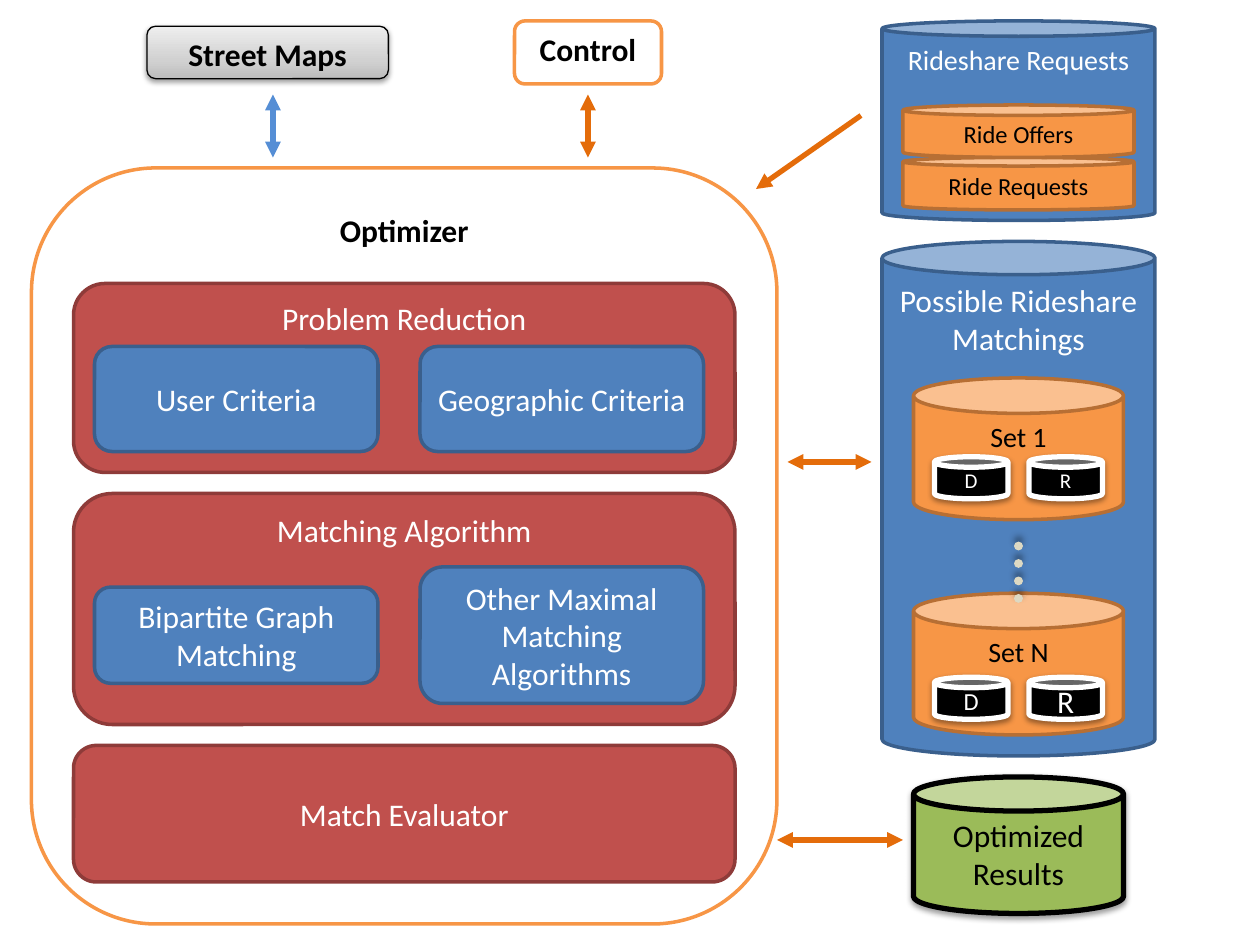
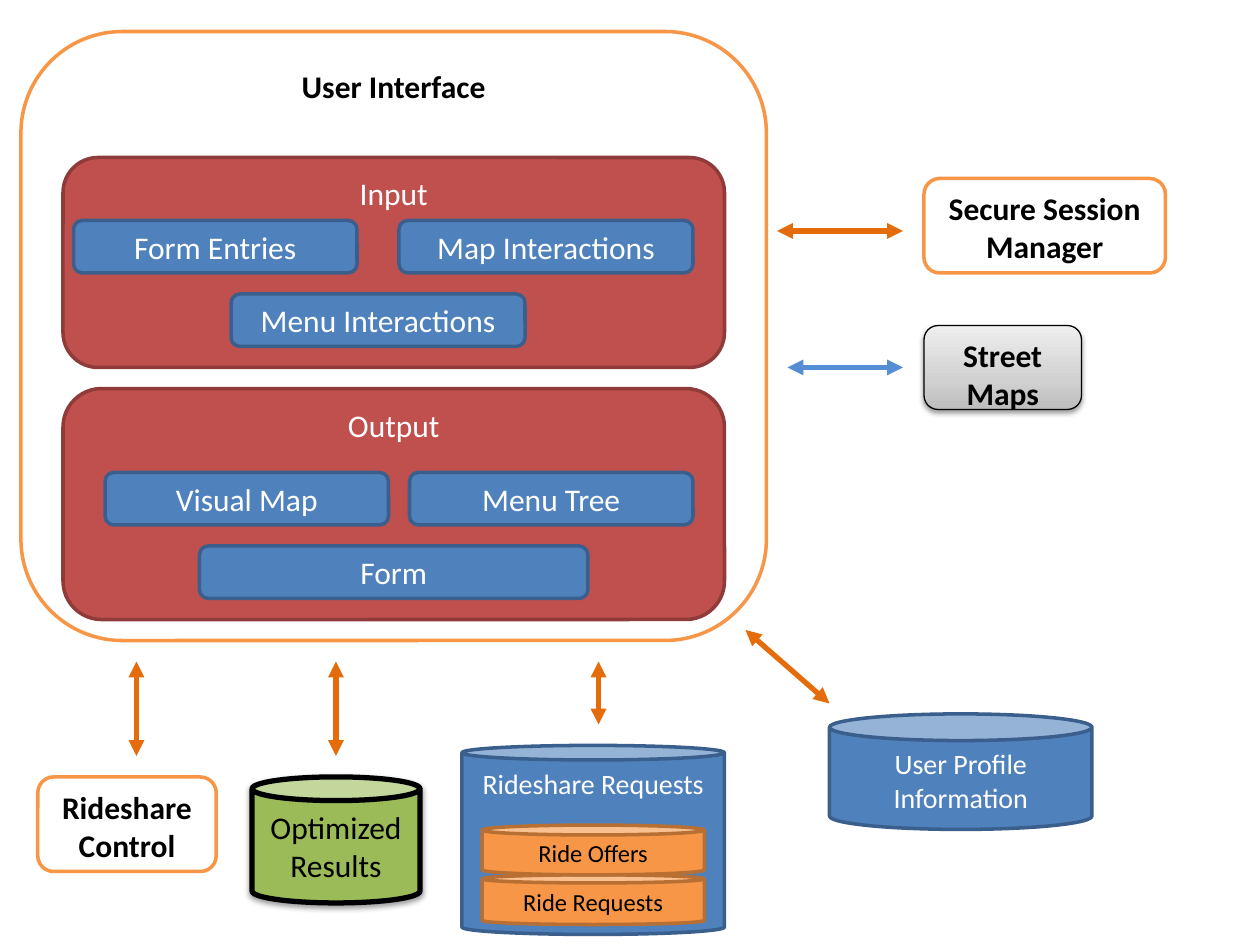
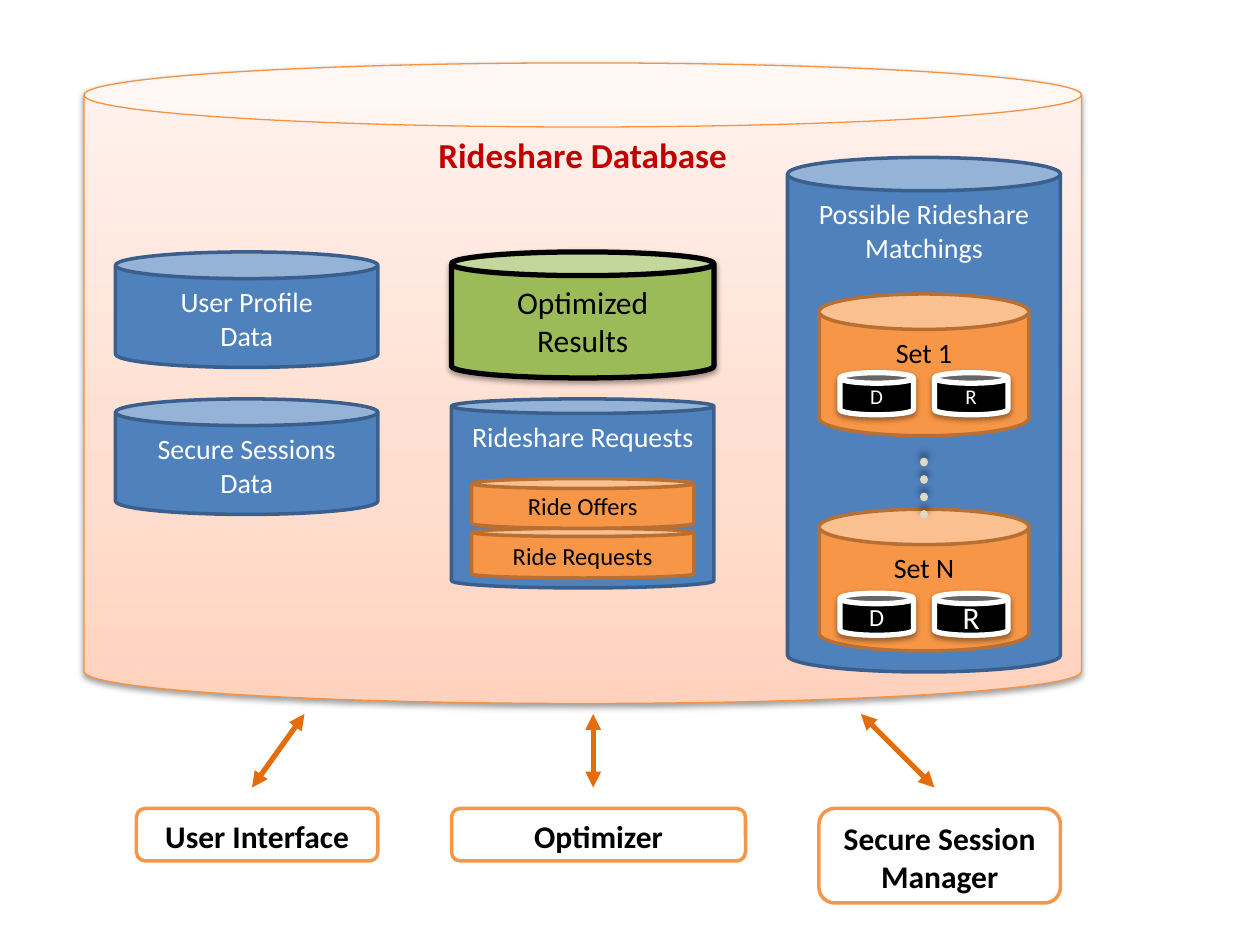
from copy import deepcopy

from lxml import etree
from pptx import Presentation
from pptx.dml.color import RGBColor
from pptx.enum.dml import MSO_LINE
from pptx.enum.shapes import MSO_CONNECTOR, MSO_SHAPE
from pptx.enum.text import MSO_ANCHOR, PP_ALIGN
from pptx.oxml.ns import qn
from pptx.util import Pt

ROUND, CAN = MSO_SHAPE.ROUNDED_RECTANGLE, MSO_SHAPE.CAN
TOP, MID, CENTER = MSO_ANCHOR.TOP, MSO_ANCHOR.MIDDLE, PP_ALIGN.CENTER
LINE, DOTS = MSO_CONNECTOR.STRAIGHT, MSO_LINE.ROUND_DOT

# Theme: colours, type sizes and effects
THEME = {
    "font": "Calibri",
    "size": {"title": 20, "body": 18, "store": 16, "small": 14, "tiny": 12},
    "color": {
        "white": "FFFFFF", "black": "000000", "blue": "4F81BD", "navy": "3A5F8C",
        "red": "C0504D", "wine": "8E3B39", "orange": "F79646", "rust": "B76F34",
        "green": "9BBB59", "rim": "F69240", "crimson": "C00000",
        "flow": "E46C0A", "map": "558ED5", "dots": "DDD9C3",
    },
    "grad": {
        "gray": [(0, "BDBDBD"), (0.35, "D1D1D1"), (1, "EEEEEE")],
        "peach": [(0, "FFD2BD"), (0.35, "FFDED0"), (1, "FFF2ED")],
    },
    # opacity %, blur, distance, angle
    "shadow": {"soft": (38, 3.15, 1.57, 90), "up": (40, 4, 3, 270)},
}

BASE = {"form": ROUND, "fill": "blue", "line": "navy", "weight": 2, "size": "body",
        "ink": "white", "bold": False, "anchor": MID, "adj": None, "shadow": None}
FRAME = BASE | {"fill": "white", "line": "orange", "ink": "black",
                "bold": True, "anchor": TOP}
STEP = BASE | {"fill": "red", "line": "wine"}
STORE = BASE | {"form": CAN, "size": "store", "anchor": TOP, "adj": 0.231}
ITEM = STORE | {"fill": "orange", "line": "rust", "ink": "black"}
GOAL = STORE | {"fill": "green", "line": "black", "weight": 3, "size": "body",
                "ink": "black", "anchor": MID, "adj": 0.188, "shadow": "soft"}
JAR = GOAL | {"fill": "black", "line": "white", "ink": "white", "adj": 0.25}
KINDS = {
    "frame": FRAME,
    "maps": FRAME | {"fill": "gray", "line": "black", "weight": 0.75, "shadow": "soft"},
    "panel": STEP | {"anchor": TOP},
    "step": STEP,
    "part": BASE,
    "store": STORE,
    "rides": STORE | {"adj": 0.077},
    "offer": ITEM | {"size": "small", "anchor": MID, "adj": 0.199},
    "ask": ITEM | {"size": "small", "anchor": MID, "adj": 0.164},
    "match": STORE | {"adj": 0.122},
    "large": STORE | {"adj": 0.122, "size": "body"},
    "set": ITEM | {"adj": 0.25},
    "tiny": JAR | {"size": "tiny"},
    "small": JAR | {"size": "small"},
    "jar": JAR,
    "goal": GOAL,
    "tall": GOAL | {"adj": 0.25},
    "base": STORE | {"fill": "peach", "line": "rim", "weight": 0.75, "size": "title",
                     "ink": "crimson", "bold": True, "adj": 0.1, "shadow": "soft"},
}

# Boxes: kind, text, left, top, width, height
# Arrows: colour, x1, y1, x2, y2, ends
SLIDES = [
    {
        "boxes": [
            ("tall", "Optimized\nResults", 522, 444, 120, 78),
            ("frame", "Control", 294, 12, 84, 36),
            ("maps", "Street Maps", 84, 15, 138, 30),
        ],
        "group": [
            ("frame", "Optimizer", 18, 96, 426, 432),
            ("panel", "Problem Reduction", 42, 162, 378, 108),
            ("part", "User Criteria", 54, 198, 162, 60),
            ("part", "Geographic Criteria", 240, 198, 162, 60),
            ("panel", "Matching Algorithm", 42, 282, 378, 132),
            ("part", "Bipartite Graph Matching", 54, 335.5, 162, 55),
            ("part", "Other Maximal Matching Algorithms", 240, 324, 162, 78),
            ("step", "Match Evaluator", 42, 426, 378, 78),
        ],
        "rides": (504, 12, 156, 114),
        "match": ("large", 504, 138),
        "arrows": [
            ("map", 156, 54, 156, 90, "both"),
            ("flow", 336, 54, 336, 90, "both"),
            ("flow", 492, 66, 432, 108, "tail"),
            ("flow", 498, 264, 450, 264, "both"),
            ("flow", 516, 480, 444, 480, "both"),
        ],
    },
    {
        "boxes": [
            ("frame", "User Interface", 12, 18, 426, 348),
            ("panel", "Input", 36, 90, 378, 120),
            ("part", "Form Entries", 42, 126, 162, 30),
            ("part", "Map Interactions", 228, 126, 168, 30),
            ("part", "Menu Interactions", 132, 168, 168, 30),
            ("panel", "Output", 36, 222, 378, 132),
            ("part", "Visual Map", 60, 270, 162, 30),
            ("part", "Menu Tree", 234, 270, 162, 30),
            ("part", "Form", 114, 312, 222, 30),
            ("goal", "Optimized\nResults", 144, 444, 96, 72),
            ("frame", "Rideshare\nControl", 21.6, 444, 102, 54),
            ("maps", "Street Maps", 528, 186, 90, 48),
            ("store", "User Profile Information", 474, 408, 150, 66),
            ("frame", "Secure Session Manager", 528, 102, 138, 54),
        ],
        "rides": (264, 426, 150, 108),
        "arrows": [
            ("map", 516, 210, 450, 210, "both"),
            ("flow", 516, 132, 444, 132, "both"),
            ("flow", 78, 432, 78, 378, "both"),
            ("flow", 192, 432, 192, 378, "both"),
            ("flow", 342, 414, 342, 378, "both"),
            ("flow", 474, 402, 426, 360, "both"),
        ],
    },
    {
        "boxes": [
            ("base", "Rideshare Database", 48, 36, 570, 366),
            ("goal", "Optimized\nResults", 258, 144, 150, 72),
            ("store", "User Profile\nData", 66, 144, 150, 66),
            ("store", "Secure Sessions\nData", 66, 228, 150, 66),
            ("frame", "User Interface", 78, 462, 138, 30),
            ("frame", "Optimizer", 258, 462, 168, 30),
            ("frame", "Secure Session Manager", 468, 462, 138, 54),
        ],
        "rides": (258, 228, 150, 108),
        "match": ("match", 450, 90),
        "arrows": [
            ("flow", 144, 450, 174, 408, "both"),
            ("flow", 339, 450, 339, 408, "both"),
            ("flow", 534, 450, 492, 408, "both"),
        ],
    },
]
SETS = [("Set 1", "tiny", "tiny"), ("Set N", "small", "jar")]


def rgb(name):
    """Return a theme colour."""
    return RGBColor.from_string(THEME["color"][name])


def apply(target, values):
    """Set attributes from a dict."""
    for name, value in values.items():
        setattr(target, name, value)


def blend(shape, stops):
    """Fill a shape with a gradient that runs upward."""
    shape.fill.gradient()
    shape.fill.gradient_angle = 90
    group = shape.element.spPr.find(qn("a:gradFill")).find(qn("a:gsLst"))
    group.append(deepcopy(group[-1]))
    for stop, (place, color) in zip(shape.fill.gradient_stops, stops):
        stop.color.rgb = RGBColor.from_string(color)
        stop.position = place


def shade(effects, name):
    """Put an outer shadow in an effect list."""
    alpha, blur, dist, angle = THEME["shadow"][name]
    outer = etree.SubElement(effects, qn("a:outerShdw"), {
        "blurRad": str(Pt(blur)), "dist": str(Pt(dist)),
        "dir": str(angle * 60000), "rotWithShape": "0"})
    color = etree.SubElement(outer, qn("a:srgbClr"), val=THEME["color"]["black"])
    etree.SubElement(color, qn("a:alpha"), val=str(alpha * 1000))


def box(shapes, kind, text, *place):
    """Add one labelled shape of a given kind."""
    look = KINDS[kind]
    shape = shapes.add_shape(look["form"], *map(Pt, place))
    if look["adj"] is not None:
        shape.adjustments[0] = look["adj"]
    if look["fill"] in THEME["grad"]:
        blend(shape, THEME["grad"][look["fill"]])
    else:
        shape.fill.solid()
        shape.fill.fore_color.rgb = rgb(look["fill"])
    shape.line.color.rgb = rgb(look["line"])
    shape.line.width = Pt(look["weight"])
    shape.shadow.inherit = False
    if look["shadow"]:
        shade(shape.element.spPr.find(qn("a:effectLst")), look["shadow"])
    frame = shape.text_frame
    apply(frame, {"text": text, "word_wrap": True, "vertical_anchor": look["anchor"]})
    for para in frame.paragraphs:
        para.alignment = CENTER
        for run in para.runs:
            apply(run.font, {"name": THEME["font"], "bold": look["bold"],
                             "size": Pt(THEME["size"][look["size"]])})
            run.font.color.rgb = rgb(look["ink"])


def link(shapes, color, x1, y1, x2, y2, ends=None, weight=3, shadow=None):
    """Add a straight line, with arrowheads where asked."""
    wire = shapes.add_connector(LINE, *map(Pt, (x1, y1, x2, y2)))
    wire.line.color.rgb = rgb(color)
    wire.line.width = Pt(weight)
    props = wire.element.spPr
    stroke = props.find(qn("a:ln"))
    if ends == "both":
        etree.SubElement(stroke, qn("a:headEnd"), type="triangle")
    if ends:
        etree.SubElement(stroke, qn("a:tailEnd"), type="triangle")
    else:
        wire.line.dash_style = DOTS
        stroke.set("cap", "rnd")
    effects = etree.SubElement(props, qn("a:effectLst"))
    if shadow:
        shade(effects, shadow)


def rides(shapes, x, y, w, h):
    """Add the ride request store, scaled to its size."""
    across, down = w / 156, h / 114
    box(shapes, "rides", "Rideshare Requests", x, y, w, h)
    for kind, text, top in (("ask", "Ride Requests", 78), ("offer", "Ride Offers", 48)):
        box(shapes, kind, text, x + 12 * across, y + top * down,
            132 * across, 30 * down)


def match(shapes, kind, x, y):
    """Add the store of matchings with its first and last set."""
    box(shapes, kind, "Possible Rideshare Matchings", x, y, 156, 294)
    for i, (name, left, right) in enumerate(SETS):
        box(shapes, "set", name, x + 18, y + 78 + 123 * i, 120, 81)
        top = y + 123 + 126 * i
        box(shapes, right, "R", x + 84, top, 42, 24)
        box(shapes, left, "D", x + 30, top, 42, 24)
    link(shapes, "dots", x + 78, y + 174, x + 78, y + 204, weight=5, shadow="up")


def main():
    """Build and save the deck."""
    deck = Presentation()
    apply(deck, {"slide_width": Pt(720), "slide_height": Pt(540)})
    for page in SLIDES:
        shapes = deck.slides.add_slide(deck.slide_layouts[6]).shapes
        for item in page["boxes"]:
            box(shapes, *item)
        if "group" in page:
            group = shapes.add_group_shape().shapes
            for item in page["group"]:
                box(group, *item)
        for name, draw in (("rides", rides), ("match", match)):
            if name in page:
                draw(shapes.add_group_shape().shapes, *page[name])
        for item in page["arrows"]:
            link(shapes, *item)
    deck.save("out.pptx")


main()
